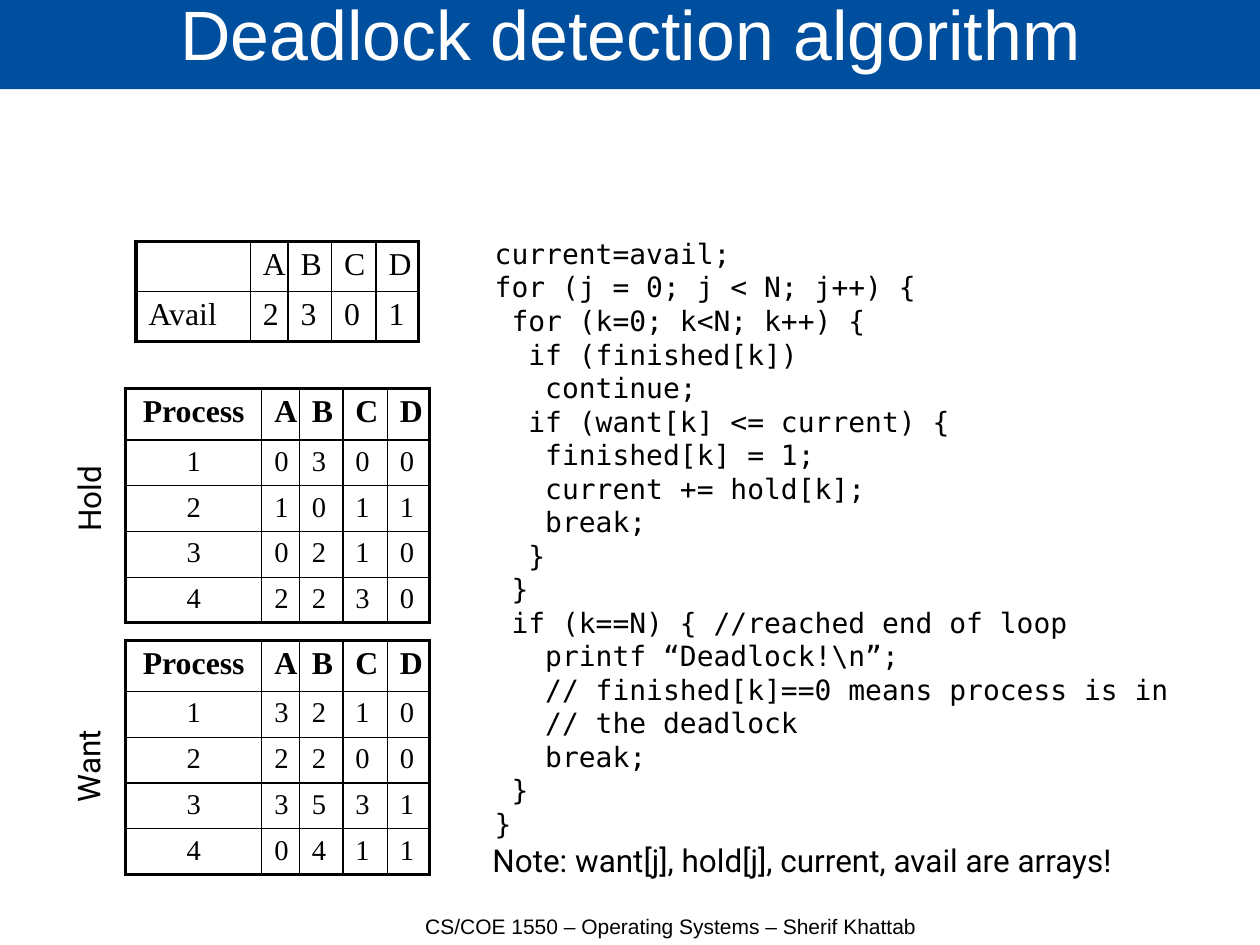
import pptx
import pptx.dml.color
import pptx.enum.text
import pptx.oxml
import pptx.oxml.ns
import pptx.util

Inches, Pt = pptx.util.Inches, pptx.util.Pt
RGBColor = pptx.dml.color.RGBColor
ALIGN, ANCHOR = pptx.enum.text.PP_ALIGN, pptx.enum.text.MSO_ANCHOR
AUTO_SIZE = pptx.enum.text.MSO_AUTO_SIZE

BLUE = RGBColor(0x00, 0x4F, 0x9E)
WHITE = RGBColor(0xFF, 0xFF, 0xFF)
BLACK = RGBColor(0x00, 0x00, 0x00)
CM_PER_INCH = 2.54
OUTER, INNER = 2.25, 1
RESOURCE_COLS = [0.33, 0.38, 0.39, 0.37]

AVAIL = [["", "A", "B", "C", "D"], ["Avail", "2", "3", "0", "1"]]
PROCESS_HEAD = ["Process", "A", "B", "C", "D"]
HOLD = ["0300", "1011", "0210", "2230"]
WANT = ["3210", "2200", "3531", "0411"]
CODE = """current=avail;
for (j = 0; j < N; j++) {
 for (k=0; k<N; k++) {
  if (finished[k])
   continue;
  if (want[k] <= current) {
   finished[k] = 1;
   current += hold[k];
   break;
  }
 }
 if (k==N) { //reached end of loop
   printf “Deadlock!\\n”;
   // finished[k]==0 means process is in
   // the deadlock
   break;
 }
}"""


def style(p, font, size, align=ALIGN.LEFT, color=BLACK, bold=False):
    """Format a whole paragraph."""
    p.alignment = align
    p.font.name, p.font.size = font, Pt(size)
    p.font.color.rgb, p.font.bold = color, bold


def add_title(slide, box, text):
    """Turn the title placeholder into the blue band."""
    sp = slide.shapes.title
    sp.left, sp.top, sp.width, sp.height = map(Inches, box)
    sp.fill.solid()
    sp.fill.fore_color.rgb = BLUE
    tf = sp.text_frame
    tf.margin_left = tf.margin_top = tf.margin_right = tf.margin_bottom = 0
    tf.vertical_anchor, tf.auto_size = ANCHOR.MIDDLE, AUTO_SIZE.NONE
    tf.text = text
    style(tf.paragraphs[0], "Arial", 44, ALIGN.CENTER, WHITE)
    tf.paragraphs[0].line_spacing = 0.69


def add_text(slide, box, text, font, size, align=ALIGN.LEFT, anchor=ANCHOR.TOP,
             wrap=False, rotation=0):
    """Add a text box with one paragraph per line of text."""
    sp = slide.shapes.add_textbox(*map(Inches, box))
    sp.rotation = rotation
    tf = sp.text_frame
    tf.word_wrap, tf.vertical_anchor = wrap, anchor
    tf.auto_size = AUTO_SIZE.NONE if anchor == ANCHOR.BOTTOM else AUTO_SIZE.SHAPE_TO_FIT_TEXT
    tf.text = text
    for p in tf.paragraphs:
        style(p, font, size, align)


def set_borders(cell, **widths):
    """Draw black cell borders; widths in points, keyed L, R, T, B."""
    tc_pr = cell._tc.get_or_add_tcPr()
    for side, width in widths.items():
        tc_pr.append(pptx.oxml.parse_xml(
            f'<a:ln{side} {pptx.oxml.ns.nsdecls("a")} w="{int(Pt(width))}">'
            f'<a:solidFill><a:srgbClr val="{BLACK}"/></a:solidFill></a:ln{side}>'))


def add_grid(slide, left, top, rows, col_widths, row_heights, body_size=20,
             bold_head=False, label_align=ALIGN.LEFT):
    """Add a table with a thick frame and thin inner rules."""
    n_rows, n_cols = len(row_heights), len(col_widths)
    frame = slide.shapes.add_table(n_rows, n_cols, *map(
        Inches, (left, top, sum(col_widths), sum(row_heights))))
    table = frame.table
    table.first_row = table.horz_banding = False
    for col, width in zip(table.columns, col_widths):
        col.width = Inches(width)
    for i, height in enumerate(row_heights):
        table.rows[i].height = Inches(height)
        for j, text in enumerate(rows[i]):
            cell = table.cell(i, j)
            set_borders(cell, L=INNER if j else OUTER,
                        R=OUTER if j == n_cols - 1 else INNER,
                        T=INNER if i else OUTER,
                        B=OUTER if i == n_rows - 1 else INNER)
            cell.fill.background()
            cell.margin_left = cell.margin_right = Inches(0.11)
            cell.margin_top = cell.margin_bottom = Inches(0.05)
            cell.text = text
            head = i == 0
            align = ALIGN.CENTER if head else ALIGN.LEFT if j else label_align
            style(cell.text_frame.paragraphs[0], "Times New Roman",
                  20 if head else body_size, align, bold=head and bold_head)


def add_process_table(slide, left, top, counts, label, label_box):
    """Add a per-process resource table with its sideways label."""
    rows = [PROCESS_HEAD] + [[str(n), *row] for n, row in enumerate(counts, 1)]
    add_grid(slide, left, top, rows, [1.19] + RESOURCE_COLS,
             [0.45] + [0.4] * len(counts), 18, True, ALIGN.CENTER)
    add_text(slide, label_box, label, "Roboto", 19.8, rotation=270)


def add_algorithm(slide, left, top):
    """Add the code listing and the note below it."""
    add_text(slide, (left, top, 6.34, 5.45), CODE, "DejaVu Sans Mono", 17.6, wrap=True)
    add_text(slide, (left - 0.02, top + 5.29, 5.79, 0.43),
             "Note: want[j], hold[j], current, avail are arrays!", "Roboto", 19.8)


prs = pptx.Presentation()
prs.slide_width, prs.slide_height = Inches(28 / CM_PER_INCH), Inches(21 / CM_PER_INCH)
slide = prs.slides.add_slide(prs.slide_layouts[5])
add_title(slide, (0, -0.02, 11.04, 0.8), "Deadlock detection algorithm")
add_text(slide, (3.07, 7.71, 5.59, 0.55),
         "CS/COE 1550 – Operating Systems – Sherif Khattab", "Arial", 13.2,
         ALIGN.CENTER, ANCHOR.BOTTOM, wrap=True)
add_grid(slide, 1.19, 2.11, AVAIL, [1] + RESOURCE_COLS, [0.44] * 2)
add_process_table(slide, 1.1, 3.4, HOLD, "Hold", (0.37, 4.13, 0.81, 0.43))
add_process_table(slide, 1.1, 5.6, WANT, "Want", (0.34, 6.47, 0.86, 0.43))
add_algorithm(slide, 4.23, 2.02)
prs.save("out.pptx")
